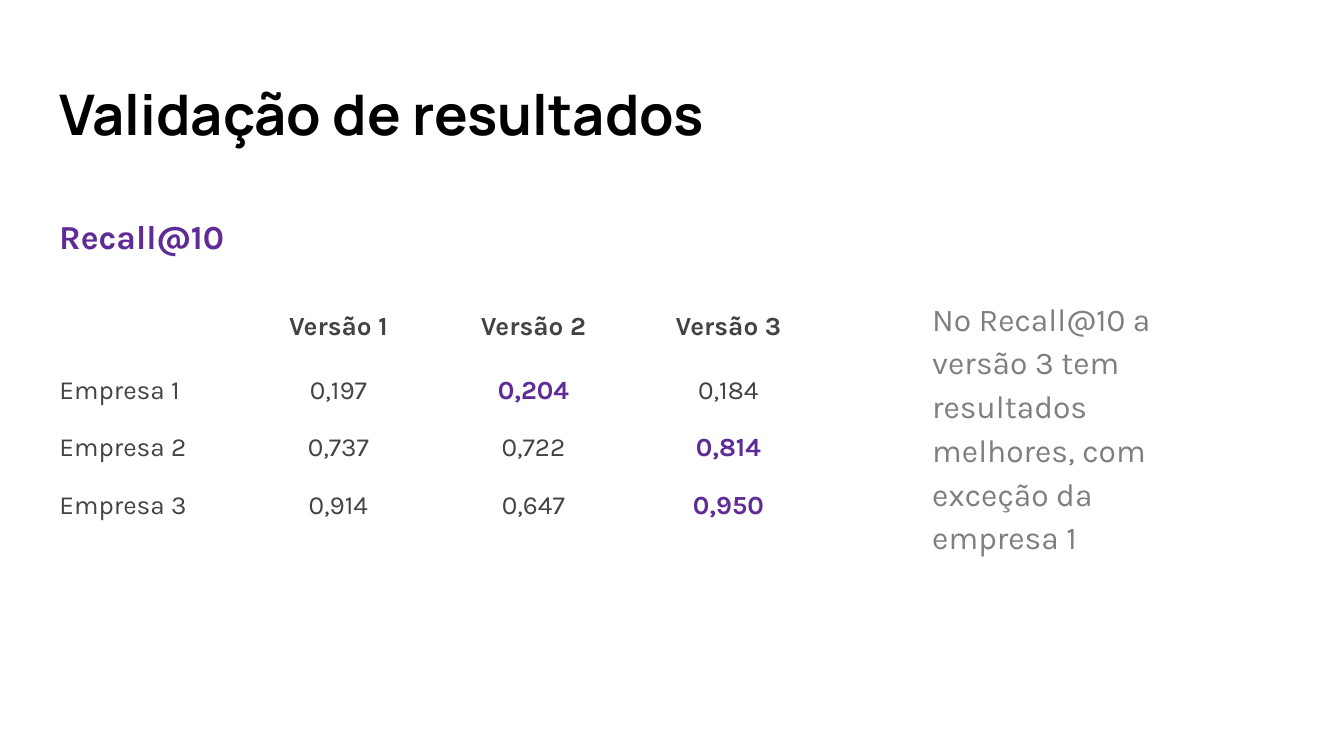
from pptx import Presentation
from pptx.dml.color import RGBColor
from pptx.enum.text import MSO_ANCHOR as ANCHOR, MSO_AUTO_SIZE as FIT, PP_ALIGN as ALIGN
from pptx.util import Emu, Pt

SCALE = 914400 / 134.4


def px(n):
    return Emu(round(n * SCALE))


def color(value):
    return RGBColor.from_string(value)


class Deck:
    """Holds the style and the current slide, and draws its elements."""

    heading, body = "Manrope", "Karla"
    black, dark, gray, purple = "000000", "434343", "7F7F7F", "5E2B97"

    def __init__(self, width, height):
        self.prs = Presentation()
        self.prs.slide_width, self.prs.slide_height = px(width), px(height)
        self.s = self.prs.slides.add_slide(self.prs.slide_layouts[5])

    def fill_text(self, tf, text, size, tint, bold=False, font=body, align=ALIGN.LEFT):
        p = tf.paragraphs[0]
        p.text, p.alignment = text, align
        p.font.name, p.font.size, p.font.bold = font, Pt(size), bold
        p.font.color.rgb = color(tint)
        return p

    def inset(self, box):
        box.margin_left = box.margin_right = box.margin_top = box.margin_bottom = Pt(7.2)

    def title(self, text, x, y, w, h):
        sp = self.s.shapes.title
        sp.left, sp.top, sp.width, sp.height = map(px, (x, y, w, h))
        tf = sp.text_frame
        tf.auto_size, tf.vertical_anchor = FIT.NONE, ANCHOR.TOP
        self.inset(tf)
        self.fill_text(tf, text, 30, self.black, True, self.heading)

    def text(self, text, x, y, w, h, size, tint, bold=False, anchor=ANCHOR.TOP):
        tf = self.s.shapes.add_textbox(*map(px, (x, y, w, h))).text_frame
        tf.word_wrap, tf.vertical_anchor = True, anchor
        self.inset(tf)
        p = self.fill_text(tf, text, size, tint, bold)
        p.line_spacing, p.space_after = 1.15, Pt(16)

    def table(self, rows, best, x, y, col_w, heights):
        size = len(rows), len(rows[0])
        box = px(x), px(y), px(col_w * size[1]), px(sum(heights))
        table = self.s.shapes.add_table(*size, *box).table
        table.first_row = table.horz_banding = False
        for row, h in zip(table.rows, heights):
            row.height = px(h)
        for i, row in enumerate(rows):
            for j, text in enumerate(row):
                cell = table.cell(i, j)
                cell.fill.background()
                self.inset(cell)
                tint = self.purple if (i, j) in best else self.dark
                bold = i == 0 or (i, j) in best
                align = ALIGN.CENTER if j else ALIGN.LEFT
                self.fill_text(cell.text_frame, text, 14, tint, bold, align=align)


def main():
    deck = Deck(1344, 756)
    deck.title("Validação de resultados", 46, 66, 1252, 91)
    rows = [
        ("", "Versão 1", "Versão 2", "Versão 3"),
        ("Empresa 1", "0,197", "0,204", "0,184"),
        ("Empresa 2", "0,737", "0,722", "0,814"),
        ("Empresa 3", "0,914", "0,647", "0,950"),
    ]
    deck.table(rows, {(1, 2), (2, 3), (3, 3)}, 46, 298, 195, (64, 57, 57, 57))
    deck.text("Recall@10", 46, 196, 286, 63, 18, deck.purple, True)
    note = "No Recall@10 a versão 3 tem resultados melhores, com exceção da empresa 1"
    deck.text(note, 919, 298, 313, 254, 17, deck.gray, anchor=ANCHOR.MIDDLE)
    deck.prs.save("out.pptx")


if __name__ == "__main__":
    main()
